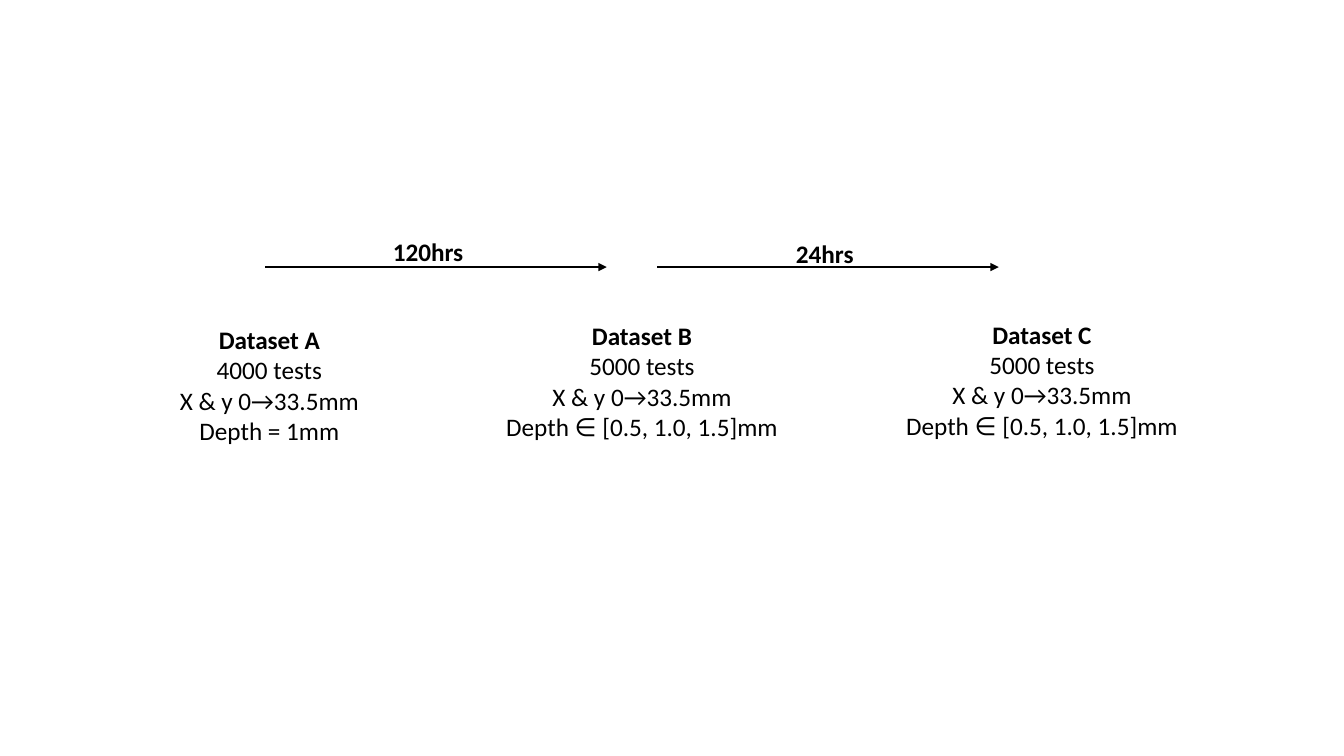
import dataclasses

import lxml.etree
import pptx
import pptx.dml.color
import pptx.enum.shapes
import pptx.enum.text
import pptx.oxml.ns
import pptx.shapes.connector
import pptx.slide
import pptx.util

Cm = pptx.util.Cm


@dataclasses.dataclass(frozen=True)
class Theme:
    ink: pptx.dml.color.RGBColor = pptx.dml.color.RGBColor(0, 0, 0)
    font: str = "Calibri"
    text_size: pptx.util.Pt = pptx.util.Pt(18)
    arrow_width: pptx.util.Pt = pptx.util.Pt(1.5)


@dataclasses.dataclass(frozen=True)
class Dataset:
    name: str
    tests: int
    depth: str
    left: float
    top: float
    width: float


@dataclasses.dataclass(frozen=True)
class Interval:
    duration: str
    arrow_left: float
    label_left: float
    label_top: float


THEME = Theme()
DATASET_HEIGHT = 3.33
ARROW_TOP, ARROW_LENGTH = 6.73, 8.61
LABEL_WIDTH, LABEL_HEIGHT = 2.69, 1.02

# Places and lengths are in centimetres
DATASETS = [
    Dataset("Dataset A", 4000, "= 1mm", 3.3, 8.05, 6.98),
    Dataset("Dataset B", 5000, "∈ [0.5, 1.0, 1.5]mm", 12.32, 7.95, 7.72),
    Dataset("Dataset C", 5000, "∈ [0.5, 1.0, 1.5]mm", 22.4, 7.92, 7.72),
]
INTERVALS = [
    Interval("120hrs", 6.68, 9.65, 5.84),
    Interval("24hrs", 16.56, 19.81, 5.87),
]


def add_text(
    slide: pptx.slide.Slide,
    box: tuple[float, float, float, float],
    lines: list[str],
    align: pptx.enum.text.PP_ALIGN,
) -> None:
    """Write lines of text, the first one bold."""
    frame = slide.shapes.add_textbox(*map(Cm, box)).text_frame
    frame.word_wrap = True
    frame.auto_size = pptx.enum.text.MSO_AUTO_SIZE.SHAPE_TO_FIT_TEXT
    frame.text = "\n".join(lines)
    for index, paragraph in enumerate(frame.paragraphs):
        paragraph.alignment = align
        font = paragraph.runs[0].font
        font.color.rgb = THEME.ink
        text_format = {"name": THEME.font, "size": THEME.text_size, "bold": index == 0}
        for attribute, value in text_format.items():
            setattr(font, attribute, value)


def add_dataset(slide: pptx.slide.Slide, dataset: Dataset) -> None:
    lines = [
        dataset.name,
        f"{dataset.tests} tests",
        "X & y 0→33.5mm",
        f"Depth {dataset.depth}",
    ]
    box = (dataset.left, dataset.top, dataset.width, DATASET_HEIGHT)
    add_text(slide, box, lines, pptx.enum.text.PP_ALIGN.CENTER)


def add_arrow(slide: pptx.slide.Slide, left: float) -> pptx.shapes.connector.Connector:
    arrow = slide.shapes.add_connector(
        pptx.enum.shapes.MSO_CONNECTOR.STRAIGHT,
        Cm(left), Cm(ARROW_TOP), Cm(left + ARROW_LENGTH), Cm(ARROW_TOP),
    )
    arrow.line.color.rgb = THEME.ink
    arrow.line.width = THEME.arrow_width
    # Arrowhead, and no shadow
    qn = pptx.oxml.ns.qn
    lxml.etree.SubElement(arrow.line._get_or_add_ln(), qn("a:tailEnd"), type="triangle")
    lxml.etree.SubElement(arrow._element.spPr, qn("a:effectLst"))
    return arrow


def add_interval_label(slide: pptx.slide.Slide, interval: Interval) -> None:
    box = (interval.label_left, interval.label_top, LABEL_WIDTH, LABEL_HEIGHT)
    add_text(slide, box, [interval.duration], pptx.enum.text.PP_ALIGN.LEFT)


def main() -> None:
    deck = pptx.Presentation()
    deck.slide_width, deck.slide_height = Cm(33.87), Cm(19.05)
    slide = deck.slides.add_slide(deck.slide_layouts[6])

    # Datasets in order of collection
    for dataset in DATASETS:
        add_dataset(slide, dataset)

    # Time between the datasets
    for interval in INTERVALS:
        add_arrow(slide, interval.arrow_left)
    for interval in INTERVALS:
        add_interval_label(slide, interval)

    deck.save("out.pptx")


if __name__ == "__main__":
    main()
